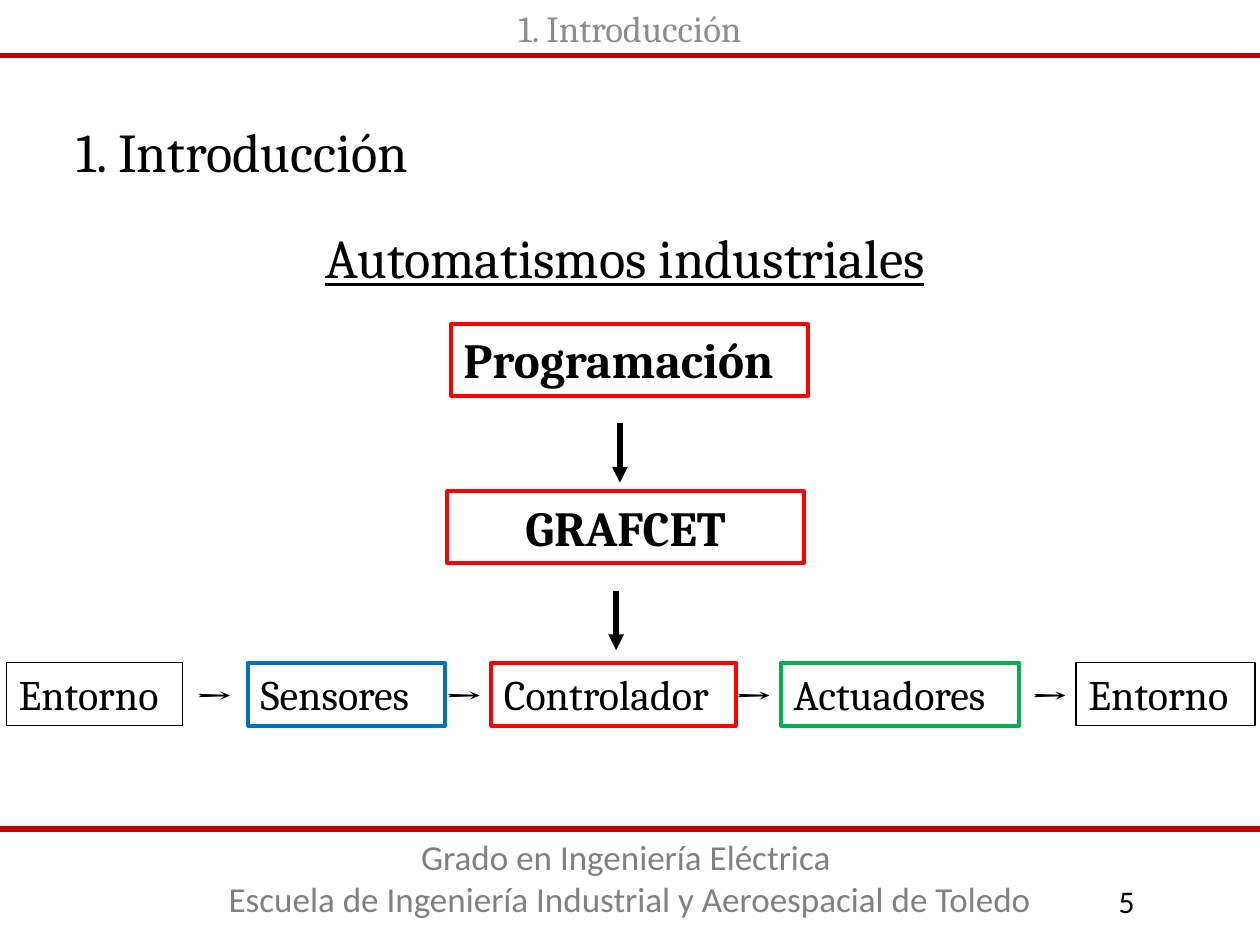
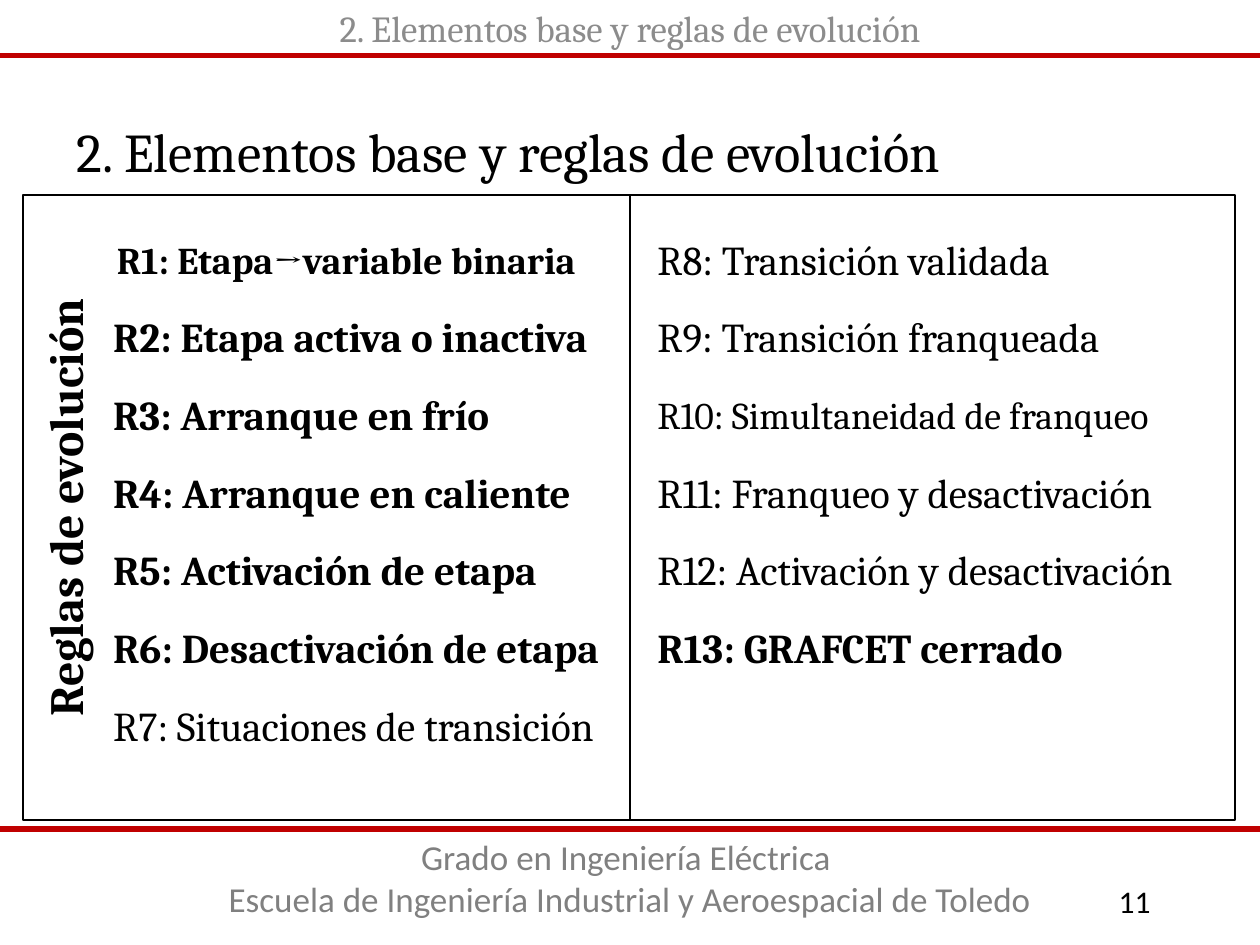
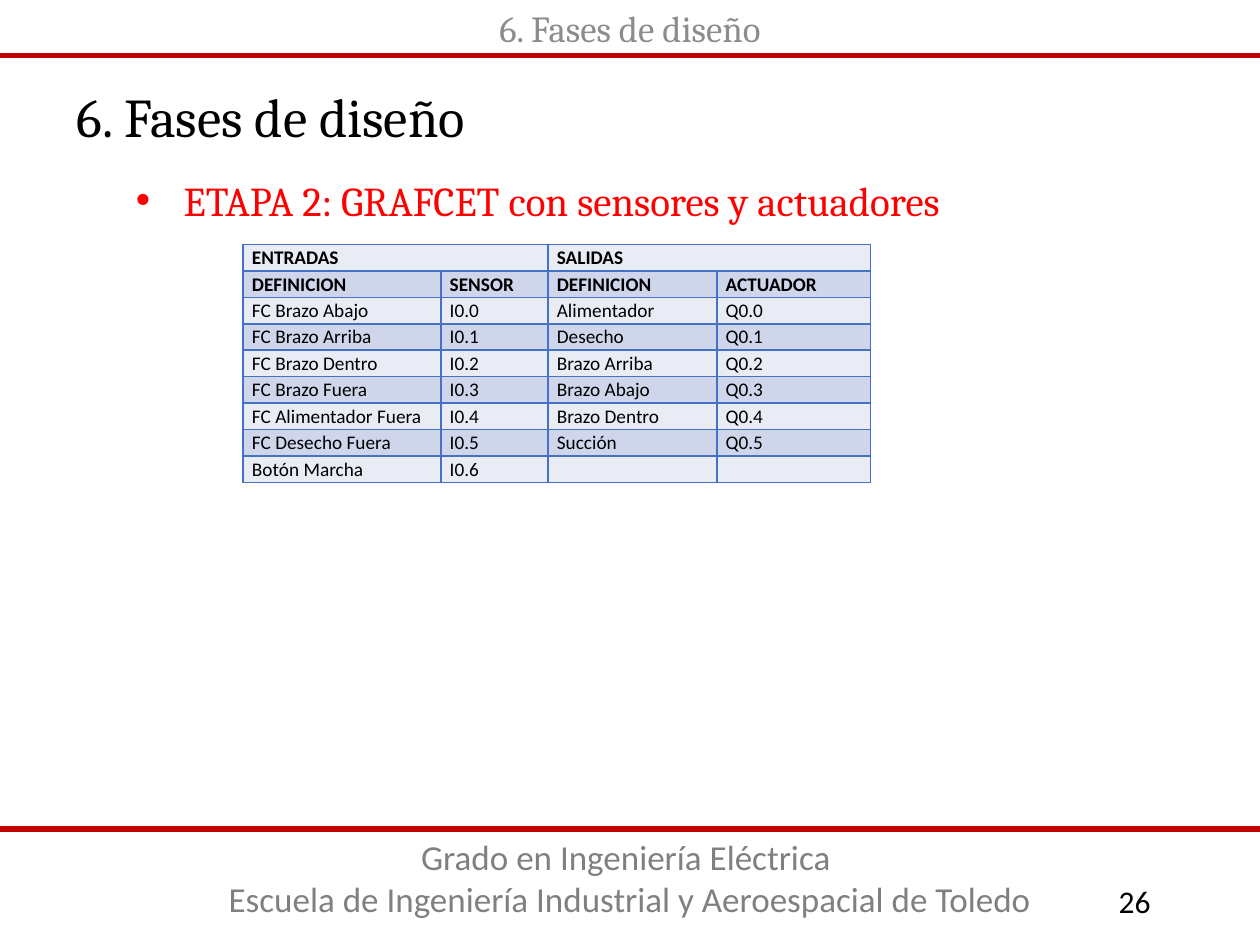
from dataclasses import dataclass
from typing import NamedTuple

from lxml import etree
from pptx import Presentation
from pptx.dml.color import RGBColor
from pptx.enum.shapes import MSO_CONNECTOR, MSO_SHAPE
from pptx.enum.text import MSO_ANCHOR, MSO_AUTO_SIZE, PP_ALIGN
from pptx.oxml.ns import qn
from pptx.util import Emu, Pt

LEFT, CENTER = PP_ALIGN.LEFT, PP_ALIGN.CENTER
TOP, MIDDLE = MSO_ANCHOR.TOP, MSO_ANCHOR.MIDDLE
NO_AUTOSIZE = MSO_AUTO_SIZE.NONE
RECTANGLE = MSO_SHAPE.RECTANGLE
STRAIGHT = MSO_CONNECTOR.STRAIGHT
EMU_PER_PX = 9144


@dataclass(frozen=True)
class Theme:
    """Colours, fonts and type sizes of the whole deck."""

    black: RGBColor = RGBColor(0, 0, 0)
    white: RGBColor = RGBColor(255, 255, 255)
    band: RGBColor = RGBColor(0xC0, 0, 0)
    header: RGBColor = RGBColor(0x8C, 0x8C, 0x8C)
    footer: RGBColor = RGBColor(0x80, 0x80, 0x80)
    red: RGBColor = RGBColor(255, 0, 0)
    blue: RGBColor = RGBColor(0, 0x70, 0xC0)
    green: RGBColor = RGBColor(0, 0xB0, 0x50)
    row_light: RGBColor = RGBColor(0xE9, 0xEB, 0xF5)
    row_dark: RGBColor = RGBColor(0xCF, 0xD5, 0xEA)
    grid: str = "4472C4"
    serif: str = "Cambria"
    sans: str = "Calibri"
    title_size: float = 31.2
    box_size: float = 28
    side_size: float = 27.3
    flow_size: float = 24
    body_size: float = 23.4
    tight_size: float = 21.6
    header_size: float = 21
    footer_size: float = 20
    number_size: float = 18
    table_size: float = 11


THEME = Theme()


class Area(NamedTuple):
    """Left, top, width and height in px."""

    left: int
    top: int
    width: int
    height: int

    def emu(self) -> list[Emu]:
        """Return the four lengths in EMU."""
        return [px(length) for length in self]


@dataclass(frozen=True)
class Style:
    """Look of a block of text."""

    size: float = THEME.body_size
    color: RGBColor = THEME.black
    bold: bool = False
    underline: bool = False
    font: str = THEME.serif
    align: PP_ALIGN = LEFT
    anchor: MSO_ANCHOR = TOP


class Box(NamedTuple):
    """Outlined box of the automation diagram."""

    text: str
    area: Area
    color: RGBColor
    line_width: float
    style: Style


class Rule(NamedTuple):
    """Evolution rule in a column."""

    text: str
    bold: bool = False
    size: float = THEME.body_size
    indent: int = 0


FOOTER = ("Grado en Ingeniería Eléctrica ", "Escuela de Ingeniería Industrial y Aeroespacial de Toledo")
STAGE = Style(THEME.box_size, bold=True)
FLOW = Style(THEME.flow_size)
BOXES = (
    Box("Programación", Area(358, 257, 283, 57), THEME.red, 2.25, STAGE),
    Box("GRAFCET", Area(355, 390, 283, 57), THEME.red, 2.25, Style(THEME.box_size, bold=True, align=CENTER)),
    Box("Entorno", Area(5, 526, 140, 50), THEME.black, 0.75, FLOW),
    Box("Sensores", Area(197, 526, 156, 50), THEME.blue, 2.25, FLOW),
    Box("Controlador", Area(390, 526, 194, 50), THEME.red, 2.25, FLOW),
    Box("Actuadores", Area(620, 526, 189, 50), THEME.green, 2.25, FLOW),
    Box("Entorno", Area(854, 526, 142, 50), THEME.black, 0.75, FLOW),
)
FLOW_ARROW_LEFTS = (145, 343, 573, 808)
DOWN_ARROWS = ((492, 336), (489, 469))
LEFT_RULES = (
    Rule("R1: Etapa→variable binaria", True, THEME.tight_size, 3),
    Rule("R2: Etapa activa o inactiva", True),
    Rule("R3: Arranque en frío", True),
    Rule("R4: Arranque en caliente", True),
    Rule("R5: Activación de etapa", True),
    Rule("R6: Desactivación de etapa", True),
    Rule("R7: Situaciones de transición"),
)
RIGHT_RULES = (
    Rule("R8: Transición validada"),
    Rule("R9: Transición franqueada"),
    Rule("R10: Simultaneidad de franqueo", size=THEME.tight_size),
    Rule("R11: Franqueo y desactivación"),
    Rule("R12: Activación y desactivación"),
    Rule("R13: GRAFCET cerrado", True),
)
SIGNAL_COLUMNS = (157, 85, 134, 122)
SIGNAL_ROWS = (
    ("ENTRADAS", "", "SALIDAS", ""),
    ("DEFINICION", "SENSOR", "DEFINICION", "ACTUADOR"),
    ("FC Brazo Abajo", "I0.0", "Alimentador", "Q0.0"),
    ("FC Brazo Arriba", "I0.1", "Desecho", "Q0.1"),
    ("FC Brazo Dentro", "I0.2", "Brazo Arriba", "Q0.2"),
    ("FC Brazo Fuera", "I0.3", "Brazo Abajo", "Q0.3"),
    ("FC Alimentador Fuera", "I0.4", "Brazo Dentro", "Q0.4"),
    ("FC Desecho Fuera", "I0.5", "Succión", "Q0.5"),
    ("Botón Marcha", "I0.6", "", ""),
)
HEADING_ROWS = 2


def px(length: int) -> Emu:
    """Turn px into EMU."""
    return Emu(length * EMU_PER_PX)


def write(frame, lines: tuple[str, ...], style: Style) -> None:
    """Fill a text frame with one paragraph per line."""
    frame.word_wrap = True
    frame.auto_size = NO_AUTOSIZE
    frame.vertical_anchor = style.anchor
    for index, line in enumerate(lines):
        paragraph = frame.add_paragraph() if index else frame.paragraphs[0]
        paragraph.text = line
        format_paragraph(paragraph, style)


def format_paragraph(paragraph, style: Style) -> None:
    """Give a paragraph its alignment and font."""
    paragraph.alignment = style.align
    font = paragraph.font
    font.name, font.size, font.bold = style.font, Pt(style.size), style.bold
    font.underline = style.underline
    font.color.rgb = style.color


def add_text(slide, area: Area, text: str, style: Style):
    """Add a plain text box."""
    shape = slide.shapes.add_textbox(*area.emu())
    write(shape.text_frame, (text,), style)
    return shape


def add_outline(slide, area: Area, color: RGBColor, line_width: float):
    """Add an unfilled rectangle with a coloured outline."""
    shape = slide.shapes.add_shape(RECTANGLE, *area.emu())
    shape.shadow.inherit = False
    shape.fill.background()
    shape.line.color.rgb = color
    shape.line.width = Pt(line_width)
    return shape


def add_line(slide, start: tuple[int, int], end: tuple[int, int], color: RGBColor, arrow: bool = False) -> None:
    """Add a straight 3 pt line, with an arrowhead if wanted."""
    connector = slide.shapes.add_connector(STRAIGHT, *(px(length) for length in start + end))
    connector.line.color.rgb = color
    connector.line.width = Pt(3)
    properties = connector._element.spPr
    if arrow:
        etree.SubElement(properties.find(qn("a:ln")), qn("a:tailEnd"), type="triangle")
    etree.SubElement(properties, qn("a:effectLst"))


def add_base_slide(presentation, title: str, number: int, title_area: Area = Area(51, 84, 906, 71)):
    """Add a slide with its title, header, bands, footer and number."""
    slide = presentation.slides.add_slide(presentation.slide_layouts[5])
    title_shape = slide.shapes.title
    title_shape.left, title_shape.top, title_shape.width, title_shape.height = title_area.emu()
    write(title_shape.text_frame, (title,), Style(THEME.title_size, anchor=MIDDLE))

    footer = slide.shapes.add_shape(RECTANGLE, *Area(0, 658, 1000, 92).emu())
    footer.shadow.inherit = False
    footer.fill.solid()
    footer.fill.fore_color.rgb = THEME.white
    footer.line.fill.background()
    write(footer.text_frame, FOOTER, Style(THEME.footer_size, THEME.footer, font=THEME.sans, align=CENTER))
    for top in (658, 44):
        add_line(slide, (0, top), (1000, top), THEME.band)
    add_text(slide, Area(878, 695, 115, 40), str(number), Style(THEME.number_size, font=THEME.sans))
    header = add_text(slide, Area(0, 0, 1000, 44), title, Style(THEME.header_size, THEME.header, align=CENTER))
    header.text_frame.paragraphs[0].space_before = Pt(4)
    return slide


def add_rules(slide, rules: tuple[Rule, ...], left: int, width: int) -> None:
    """Stack rules down a column at an even pitch."""
    for index, rule in enumerate(rules):
        area = Area(left + rule.indent, 170 + 370 * index // 6, width, 71)
        add_text(slide, area, rule.text, Style(rule.size, bold=rule.bold, anchor=MIDDLE))


def add_bullet(paragraph, indent: int) -> None:
    """Give a paragraph a hanging round bullet."""
    properties = paragraph._p.get_or_add_pPr()
    properties.set("marL", str(px(indent)))
    properties.set("indent", str(px(-indent)))
    bullet_font = etree.Element(qn("a:buFont"), typeface="Arial")
    bullet = etree.Element(qn("a:buChar"), char="•")
    properties.insert(0, bullet_font)
    properties.insert(1, bullet)


def add_cell_borders(cell) -> None:
    """Draw the four sides of a cell, ahead of its fill."""
    properties = cell._tc.get_or_add_tcPr()
    for index, side in enumerate(("lnL", "lnR", "lnT", "lnB")):
        line = etree.Element(qn(f"a:{side}"), w=str(Pt(1)))
        fill = etree.SubElement(line, qn("a:solidFill"))
        etree.SubElement(fill, qn("a:srgbClr"), val=THEME.grid)
        properties.insert(index, line)


def format_cell(cell, text: str, row: int) -> None:
    """Write a table cell and set its fill, margins and borders."""
    cell.margin_left = cell.margin_right = px(7)
    cell.margin_top = cell.margin_bottom = px(0)
    cell.fill.solid()
    cell.fill.fore_color.rgb = THEME.row_dark if row % 2 else THEME.row_light
    add_cell_borders(cell)
    paragraph = cell.text_frame.paragraphs[0]
    paragraph.text = text
    paragraph.line_spacing = 1.07
    format_paragraph(paragraph, Style(THEME.table_size, bold=row < HEADING_ROWS, font=THEME.sans))
    if not text:
        etree.SubElement(paragraph._p, qn("a:endParaRPr"), sz=str(THEME.table_size * 100))


def add_signal_table(slide) -> None:
    """Add the table of inputs and outputs."""
    area = Area(193, 194, sum(SIGNAL_COLUMNS), 21 * len(SIGNAL_ROWS))
    table = slide.shapes.add_table(len(SIGNAL_ROWS), len(SIGNAL_COLUMNS), *area.emu()).table
    table.first_row = table.horz_banding = False
    for column, width in zip(table.columns, SIGNAL_COLUMNS):
        column.width = px(width)
    for row, texts in enumerate(SIGNAL_ROWS):
        for column, text in enumerate(texts):
            format_cell(table.cell(row, column), text, row)
    for column in (0, 2):
        table.cell(0, column).merge(table.cell(0, column + 1))


def build_introduction(presentation) -> None:
    """Build the automation diagram slide."""
    slide = add_base_slide(presentation, "1. Introducción", 5)
    subtitle = Style(THEME.title_size, underline=True, align=CENTER, anchor=MIDDLE)
    add_text(slide, Area(177, 174, 638, 60), "Automatismos industriales", subtitle)
    for box in BOXES:
        shape = add_outline(slide, box.area, box.color, box.line_width)
        write(shape.text_frame, (box.text,), box.style)
    for left in FLOW_ARROW_LEFTS:
        add_text(slide, Area(left, 523, 53, 57), "→", Style(THEME.box_size))
    for left, top in DOWN_ARROWS:
        add_line(slide, (left, top), (left, top + 47), THEME.black, arrow=True)


def build_rules(presentation) -> None:
    """Build the evolution rules slide."""
    slide = add_base_slide(presentation, "2. Elementos base y reglas de evolución", 11)
    for area in (Area(18, 155, 482, 496), Area(500, 155, 480, 496)):
        add_outline(slide, area, THEME.black, 1)
    side_style = Style(THEME.side_size, bold=True, align=CENTER, anchor=MIDDLE)
    side_label = add_text(slide, Area(-197, 369, 496, 67), "Reglas de evolución", side_style)
    side_label.rotation = 270
    add_rules(slide, LEFT_RULES, 80, 420)
    add_rules(slide, RIGHT_RULES, 512, 457)


def build_design_phases(presentation) -> None:
    """Build the sensors and actuators slide."""
    slide = add_base_slide(presentation, "6. Fases de diseño", 26, Area(51, 60, 906, 63))
    stage_style = Style(color=THEME.red, anchor=MIDDLE)
    stage = add_text(slide, Area(98, 123, 780, 71), "ETAPA 2: GRAFCET con sensores y actuadores", stage_style)
    add_bullet(stage.text_frame.paragraphs[0], 38)
    add_signal_table(slide)


def main() -> None:
    """Build and save the presentation."""
    presentation = Presentation()
    presentation.slide_width, presentation.slide_height = px(1000), px(750)
    build_introduction(presentation)
    build_rules(presentation)
    build_design_phases(presentation)
    presentation.save("out.pptx")


if __name__ == "__main__":
    main()
